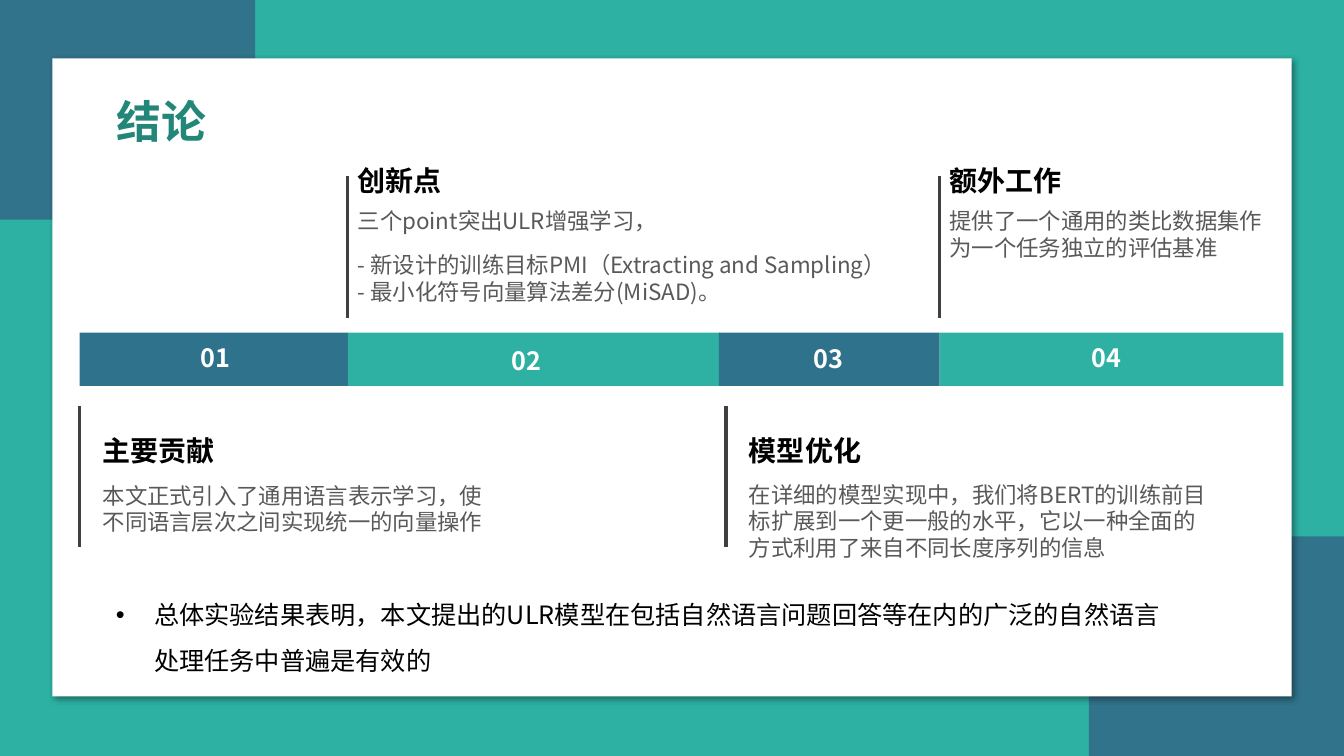
from dataclasses import dataclass

from lxml import etree
from pptx import Presentation
from pptx import util as u
from pptx.dml.color import RGBColor
from pptx.enum import shapes, text
from pptx.oxml import ns

PX = 9144  # EMU per px, 100 px to the inch


@dataclass(frozen=True)
class Theme:
    font: str = "Noto Sans CJK SC"
    backdrop: str = "2DB1A3"
    corner: str = "31738B"
    blue: str = "2F728B"
    green: str = "2EB0A2"
    white: str = "FFFFFF"
    black: str = "000000"
    title: str = "228679"
    body: str = "595959"
    rule: str = "404040"
    title_size: int = 32
    heading_size: int = 20
    text_size: int = 18
    body_size: int = 16


@dataclass(frozen=True)
class Box:
    left: int
    top: int
    width: int
    height: int

    def emu(self) -> list[u.Emu]:
        return [u.Emu(v * PX) for v in (self.left, self.top, self.width, self.height)]


@dataclass(frozen=True)
class Segment:
    number: str
    left: int
    width: int
    color: str
    label: Box


@dataclass(frozen=True)
class Point:
    heading: str
    lines: tuple[str, ...]
    rule_x: int
    rule_top: int
    heading_top: int
    body: Box


THEME = Theme()
BAR_TOP, BAR_HEIGHT = 330, 53
RULE_LENGTH = 140

CORNERS = [Box(0, 0, 253, 218), Box(1080, 532, 253, 218)]
PANEL = Box(52, 58, 1229, 633)

SEGMENTS = [
    Segment("01", 79, 266, THEME.blue, Box(189, 335, 63, 41)),
    Segment("02", 345, 369, THEME.green, Box(498, 338, 63, 41)),
    Segment("03", 713, 219, THEME.blue, Box(797, 336, 52, 40)),
    Segment("04", 932, 341, THEME.green, Box(1073, 335, 73, 40)),
]

POINTS = [
    Point("主要贡献", ("本文正式引入了通用语言表示学习，使不同语言层次之间实现统一的向量操作",),
          79, 403, 425, Box(92, 473, 405, 64)),
    Point("创新点", ("三个point突出ULR增强学习，",
                  "- 新设计的训练目标PMI（Extracting and Sampling）",
                  "- 最小化符号向量算法差分(MiSAD)。"),
          345, 175, 157, Box(345, 201, 545, 108)),
    Point("模型优化", ("在详细的模型实现中，我们将BERT的训练前目标扩展到一个更一般的水平，"
                   "它以一种全面的方式利用了来自不同长度序列的信息",),
          720, 403, 425, Box(733, 472, 478, 91)),
    Point("额外工作", ("提供了一个通用的类比数据集作为一个任务独立的评估基准",),
          932, 175, 157, Box(932, 201, 334, 64)),
]

CONCLUSION = "总体实验结果表明，本文提出的ULR模型在包括自然语言问题回答等在内的广泛的自然语言处理任务中普遍是有效的"


def style(paragraph, size: int, color: str, bold: bool = False) -> None:
    font = paragraph.font
    font.size, font.bold, font.name = u.Pt(size), bold, THEME.font
    font.color.rgb = RGBColor.from_string(color)
    defaults = paragraph._p.pPr.find(ns.qn("a:defRPr"))
    etree.SubElement(defaults, ns.qn("a:ea"), typeface=THEME.font)


def add_text(parent, box: Box, lines: tuple[str, ...], size: int, color: str,
             bold: bool = False):
    frame = parent.add_textbox(*box.emu()).text_frame
    frame.word_wrap = True
    frame.auto_size = text.MSO_AUTO_SIZE.SHAPE_TO_FIT_TEXT
    frame.text = "\n".join(lines)
    for paragraph in frame.paragraphs:
        style(paragraph, size, color, bold)
    return frame


def add_block(parent, box: Box, color: str):
    block = parent.add_shape(shapes.MSO_SHAPE.RECTANGLE, *box.emu())
    block.shadow.inherit = False
    block.fill.solid()
    block.fill.fore_color.rgb = RGBColor.from_string(color)
    block.line.fill.background()
    return block


def add_panel_shadow(panel) -> None:
    effects = panel._element.spPr.find(ns.qn("a:effectLst"))
    shadow = etree.SubElement(effects, ns.qn("a:outerShdw"), blurRad="50800",
                              dist="38100", dir="2700000", algn="tl", rotWithShape="0")
    tint = etree.SubElement(shadow, ns.qn("a:srgbClr"), val=THEME.black)
    etree.SubElement(tint, ns.qn("a:alpha"), val="40000")


def add_rule(parent, x: int, top: int) -> None:
    rule = parent.add_connector(shapes.MSO_CONNECTOR.STRAIGHT, x * PX, top * PX,
                                x * PX, (top + RULE_LENGTH) * PX)
    rule.line.color.rgb = RGBColor.from_string(THEME.rule)
    rule.line.width = u.Pt(2.25)
    etree.SubElement(rule._element.spPr, ns.qn("a:effectLst"))


def add_segment(parent, segment: Segment) -> None:
    group = parent.add_group_shape().shapes
    add_block(group, Box(segment.left, BAR_TOP, segment.width, BAR_HEIGHT), segment.color)
    add_text(group, segment.label, (segment.number,), THEME.text_size, THEME.white, True)


def add_point(parent, point: Point) -> None:
    add_rule(parent, point.rule_x, point.rule_top)
    add_text(parent, Box(point.body.left, point.heading_top, 270, 44), (point.heading,),
             THEME.heading_size, THEME.black, True)
    body = add_text(parent, point.body, point.lines, THEME.body_size, THEME.body)
    if len(point.lines) > 1:
        body.paragraphs[1].space_before = u.Pt(12)


def add_conclusion(parent) -> None:
    frame = parent.add_textbox(*Box(55, 575, 1107, 101).emu()).text_frame
    frame.word_wrap = True
    frame.auto_size = text.MSO_AUTO_SIZE.SHAPE_TO_FIT_TEXT
    frame.text = CONCLUSION
    paragraph = frame.paragraphs[0]
    paragraph.level = 1
    paragraph.line_spacing = 1.5
    props = paragraph._p.get_or_add_pPr()
    props.set("marL", str(88 * PX))
    props.set("indent", str(-38 * PX))
    etree.SubElement(props, ns.qn("a:buFont"), typeface="Arial")
    etree.SubElement(props, ns.qn("a:buChar"), char="•")
    style(paragraph, THEME.text_size, THEME.black)


def set_title(title) -> None:
    title.left, title.top, title.width, title.height = Box(106, 88, 334, 71).emu()
    frame = title.text_frame
    frame.text = "结论"
    frame.vertical_anchor = text.MSO_ANCHOR.TOP
    frame.auto_size = text.MSO_AUTO_SIZE.NONE
    frame.paragraphs[0].alignment = text.PP_ALIGN.LEFT
    style(frame.paragraphs[0], THEME.title_size, THEME.title, True)


def main() -> None:
    deck = Presentation()
    deck.slide_width, deck.slide_height = u.Emu(1333 * PX), u.Emu(750 * PX)
    slide = deck.slides.add_slide(deck.slide_layouts[5])
    canvas = slide.shapes

    # Backdrop and white panel
    slide.background.fill.solid()
    slide.background.fill.fore_color.rgb = RGBColor.from_string(THEME.backdrop)
    for corner in CORNERS:
        add_block(canvas, corner, THEME.corner)
    add_panel_shadow(add_block(canvas, PANEL, THEME.white))

    # Title, brought in front of the panel
    set_title(canvas.title)
    canvas._spTree.append(canvas.title._element)

    # Numbered bar and its four points
    for segment in SEGMENTS:
        add_segment(canvas, segment)
    for point in POINTS:
        add_point(canvas, point)

    # Closing statement
    add_conclusion(canvas)
    deck.save("out.pptx")


if __name__ == "__main__":
    main()
